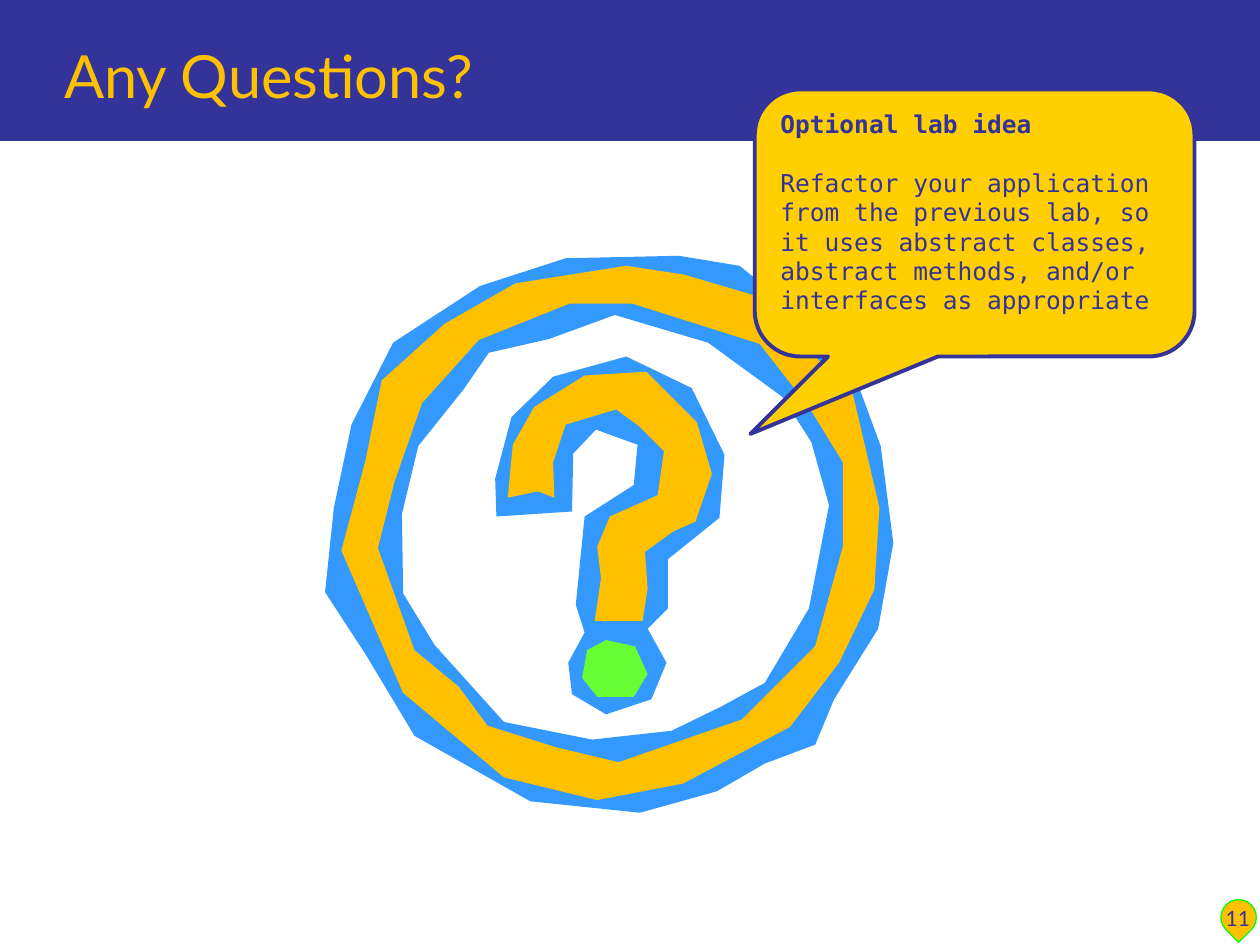
from pptx import Presentation
from pptx.dml.color import RGBColor
from pptx.enum import shapes, text
from pptx.util import Pt

NAVY, GOLD, BLUE = "333399", "FFC000", "3399FF"
HUNDREDTH_INCH = Pt(0.72)  # unit of the outlines below

MARK_EDGE = [
    (455, 360), (473, 341), (506, 353), (503, 385), (464, 410), (457, 480),
    (464, 502), (451, 526), (454, 551), (481, 567), (517, 555), (529, 526),
    (514, 499), (530, 483), (530, 444), (571, 411), (575, 361), (549, 308),
    (497, 283), (439, 299), (406, 331), (393, 380), (394, 410), (454, 406)]
MARK_HOOK = [
    (403, 395), (427, 390), (440, 395), (439, 367), (449, 337), (489, 325),
    (507, 338), (527, 358), (522, 393), (484, 410), (474, 434), (477, 459),
    (472, 493), (510, 493), (514, 467), (512, 438), (534, 422), (552, 414),
    (565, 376), (553, 335), (513, 295), (464, 298), (424, 323), (407, 353)]
MARK_DOT = [
    (481, 508), (466, 516), (462, 538), (474, 553), (503, 553), (514, 535),
    (504, 513)]
BLUE_OUTER = [
    (587, 211), (539, 203), (449, 205), (381, 227), (312, 272), (279, 337),
    (265, 403), (258, 470), (290, 519), (329, 584), (421, 636), (508, 645),
    (569, 628), (607, 606), (647, 591), (662, 555), (697, 499), (709, 431),
    (699, 354), (671, 278), (633, 248)]
BLUE_INNER = [
    (562, 272), (621, 315), (644, 351), (658, 401), (642, 483), (607, 542),
    (572, 561), (533, 580), (470, 587), (400, 573), (345, 512), (320, 471),
    (319, 408), (332, 354), (368, 309), (388, 280), (436, 269), (488, 250)]
GOLD_OUTER = [
    (497, 211), (543, 218), (604, 236), (636, 272), (677, 313), (698, 403),
    (694, 468), (666, 526), (627, 577), (542, 622), (474, 635), (400, 617),
    (320, 550), (271, 437), (290, 366), (303, 302), (353, 257), (409, 225)]
GOLD_INNER = [
    (502, 241), (452, 241), (380, 270), (335, 320), (313, 383), (300, 435),
    (329, 516), (364, 545), (387, 576), (441, 593), (491, 605), (589, 571),
    (647, 513), (669, 434), (669, 367), (642, 323), (603, 273)]


def color(hex_string):
    return RGBColor.from_string(hex_string)


def paint(shape, fill, line=None, width=0):
    shape.shadow.inherit = False
    shape.fill.solid()
    shape.fill.fore_color.rgb = color(fill)
    if line:
        shape.line.color.rgb = color(line)
        shape.line.width = Pt(width)
    else:
        shape.line.fill.background()


def add_preset(page, kind, bounds, *style):
    shape = page.shapes.add_shape(kind, *map(Pt, bounds))
    paint(shape, *style)
    return shape


def add_outline(group, points, fill):
    builder = group.shapes.build_freeform(*points[0], scale=HUNDREDTH_INCH)
    builder.add_line_segments(points[1:], close=True)
    paint(builder.convert_to_shape(), fill)


def ring(outer, inner):
    """Join two loops by a seam, so that one outline encloses a hole."""
    return outer + outer[:1] + inner + inner[:1]


def write(para, words, align=text.PP_ALIGN.LEFT, **font_values):
    para.alignment = align
    span = para.add_run()
    span.text = words
    span.font.color.rgb = color(font_values.pop("ink", NAVY))
    for name, value in font_values.items():
        setattr(span.font, name, value)


def add_label(page, bounds, words, **style):
    frame = page.shapes.add_textbox(*map(Pt, bounds)).text_frame
    frame.word_wrap = True
    frame.vertical_anchor = text.MSO_ANCHOR.BOTTOM
    write(frame.paragraphs[0], words, name="Lato", **style)


def add_question_mark(page):
    group = page.shapes.add_group_shape()
    for points, fill in [
            (MARK_EDGE, BLUE), (MARK_HOOK, GOLD), (MARK_DOT, "66FF33"),
            (ring(BLUE_OUTER, BLUE_INNER), BLUE),
            (ring(GOLD_OUTER, GOLD_INNER), GOLD)]:
        add_outline(group, points, fill)


def add_callout(page, bounds, heading, body):
    callout = add_preset(page, shapes.MSO_SHAPE.ROUNDED_RECTANGULAR_CALLOUT,
                         bounds, "FFCF01", NAVY, 2.25)
    for index, value in enumerate((-0.51, 0.79, 0.17)):
        callout.adjustments[index] = value
    frame = callout.text_frame
    frame.word_wrap = True
    frame.vertical_anchor = text.MSO_ANCHOR.TOP
    font = {"name": "DejaVu Sans Mono", "size": Pt(14)}
    write(frame.paragraphs[0], heading, bold=True, **font)
    para = frame.add_paragraph()
    para.space_before = Pt(16.8)
    write(para, body, bold=False, **font)


def main():
    deck = Presentation()
    deck.slide_width, deck.slide_height = Pt(720), Pt(540)
    page = deck.slides.add_slide(deck.slide_layouts[6])

    add_preset(page, shapes.MSO_SHAPE.RECTANGLE, (0, 0, 720, 80.6), NAVY)
    badge = add_preset(page, shapes.MSO_SHAPE.TEAR,
                       (697.7, 514.1, 20.2, 20.2), GOLD, "00FF00", 0.75)
    badge.rotation = 134.9
    add_label(page, (686.9, 499.7, 41, 36), "11", size=Pt(12),
              align=text.PP_ALIGN.CENTER)
    add_label(page, (29.5, 12.2, 673.2, 54.7), "Any Questions?",
              size=Pt(34), ink=GOLD)
    add_question_mark(page)
    add_callout(page, (431.3, 51.1, 251.3, 152.6), "Optional lab idea",
                "Refactor your application from the previous lab, so it uses "
                "abstract classes, abstract methods, and/or interfaces as "
                "appropriate")
    deck.save("out.pptx")


if __name__ == "__main__":
    main()
